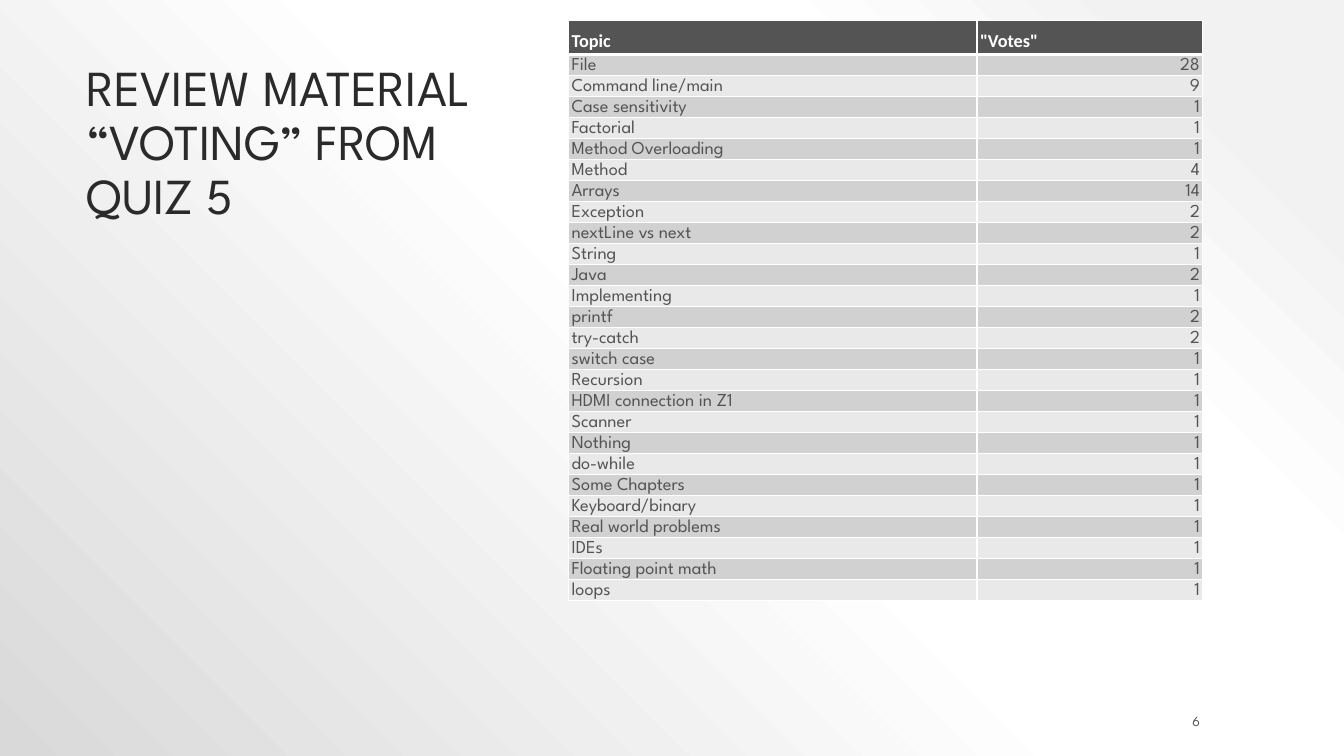
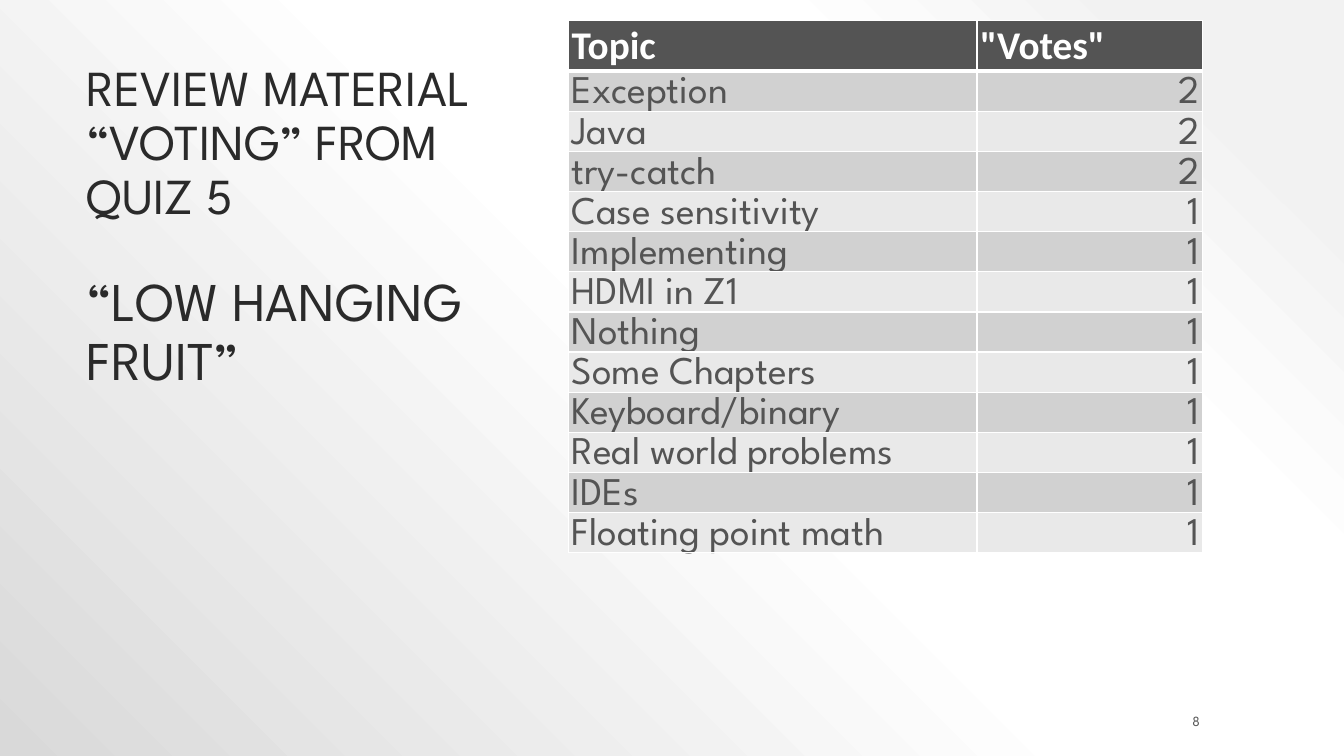
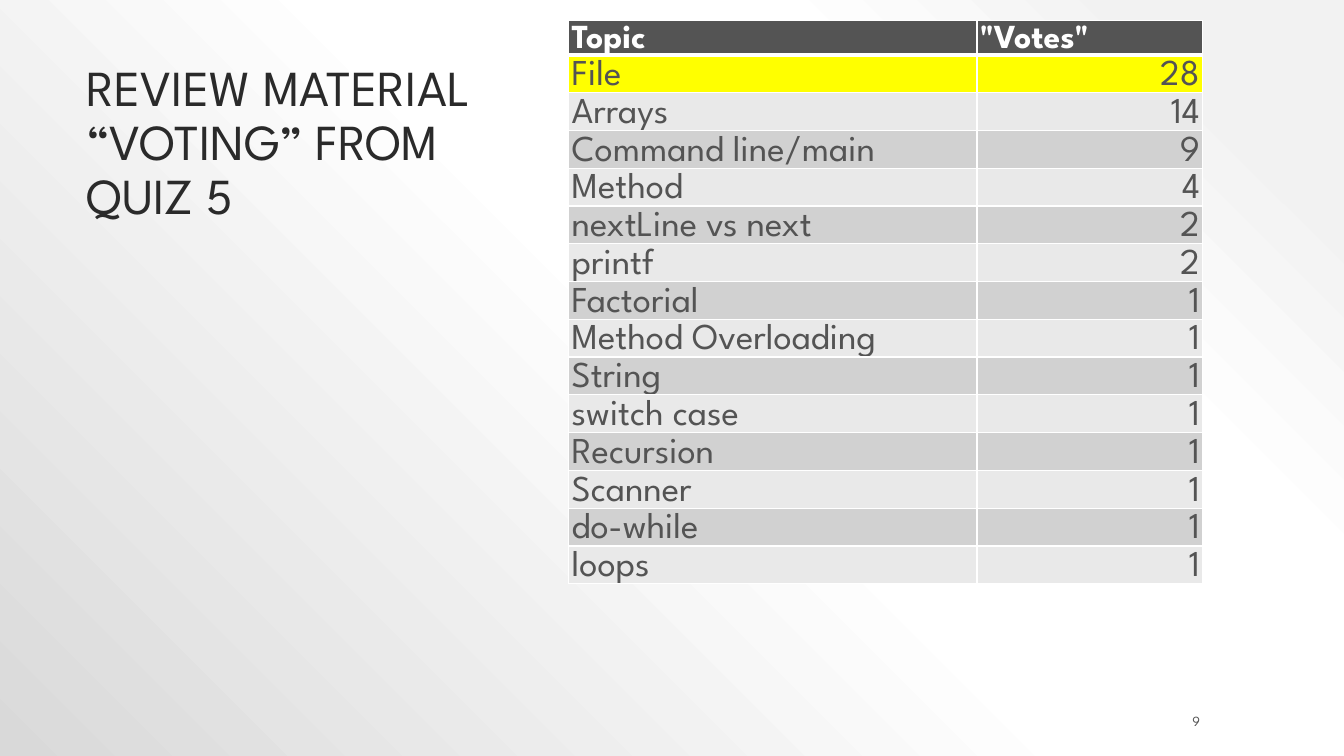
from dataclasses import dataclass

from lxml import etree
from pptx import Presentation
from pptx.dml.color import RGBColor
from pptx.enum import text
from pptx.oxml import parse_xml
from pptx.oxml.ns import nsdecls, qn
from pptx.util import Inches, Pt

# Shared style
FONT = "League Spartan"
DARK, GREY, WHITE, YELLOW = "2A2A2A", "545454", "FFFFFF", "FFFF00"
BANDS = ("D1D1D1", "E9E9E9")
BACKGROUND_STOPS = ((10, "F2F2F2"), (28, WHITE), (48, WHITE), (100, "D9D9D9"))
TITLE = "REVIEW MATERIAL “VOTING” FROM QUIZ 5"
TABLE_LEFT, TABLE_TOP = 5.64, 0.2
COLUMN_WIDTHS = (4.05, 2.24)
TIGHT = 0.76  # line spacing that keeps the table rows compact


@dataclass
class TextStyle:
    size: float
    color: str
    font: str = FONT
    bold: bool = False
    align: text.PP_ALIGN = text.PP_ALIGN.LEFT
    spacing: float = 1.0


@dataclass
class VoteSlide:
    number: int
    header_style: TextStyle
    body_size: float
    header_height: float
    body_height: float
    votes: list[tuple[str, int]]
    subtitle: str = ""
    highlighted: tuple[str, ...] = ()


SLIDES = [
    VoteSlide(6, TextStyle(13, WHITE, "Calibri", True), 13, 0.34, 5.42, [
        ("File", 28), ("Command line/main", 9), ("Case sensitivity", 1),
        ("Factorial", 1), ("Method Overloading", 1), ("Method", 4),
        ("Arrays", 14), ("Exception", 2), ("nextLine vs next", 2),
        ("String", 1), ("Java", 2), ("Implementing", 1), ("printf", 2),
        ("try-catch", 2), ("switch case", 1), ("Recursion", 1),
        ("HDMI connection in Z1", 1), ("Scanner", 1), ("Nothing", 1),
        ("do-while", 1), ("Some Chapters", 1), ("Keyboard/binary", 1),
        ("Real world problems", 1), ("IDEs", 1), ("Floating point math", 1),
        ("loops", 1),
    ]),
    VoteSlide(8, TextStyle(28, WHITE, "Calibri", True), 28, 0.5, 4.78, [
        ("Exception", 2), ("Java", 2), ("try-catch", 2),
        ("Case sensitivity", 1), ("Implementing", 1), ("HDMI in Z1", 1),
        ("Nothing", 1), ("Some Chapters", 1), ("Keyboard/binary", 1),
        ("Real world problems", 1), ("IDEs", 1), ("Floating point math", 1),
    ], subtitle="“LOW HANGING FRUIT”"),
    VoteSlide(9, TextStyle(24, WHITE, FONT, True, spacing=TIGHT), 26, 0.34, 5.25, [
        ("File", 28), ("Arrays", 14), ("Command line/main", 9), ("Method", 4),
        ("nextLine vs next", 2), ("printf", 2), ("Factorial", 1),
        ("Method Overloading", 1), ("String", 1), ("switch case", 1),
        ("Recursion", 1), ("Scanner", 1), ("do-while", 1), ("loops", 1),
    ], highlighted=("File",)),
]


def rgb(value: str) -> RGBColor:
    return RGBColor.from_string(value)


def write(tf, content: str, style: TextStyle) -> None:
    p = tf.paragraphs[0]
    p.text = content
    p.alignment = style.align
    p.line_spacing = style.spacing
    p.font.size = Pt(style.size)
    p.font.name = style.font
    p.font.bold = style.bold
    p.font.color.rgb = rgb(style.color)


def add_text(slide, box: tuple[float, ...], content: str, style: TextStyle,
             anchor: text.MSO_ANCHOR) -> None:
    tf = slide.shapes.add_textbox(*map(Inches, box)).text_frame
    tf.word_wrap = True
    tf.vertical_anchor = anchor
    write(tf, content, style)


def set_background(master) -> None:
    """Radial gradient centred on the top right corner."""
    master.background.fill.gradient()
    old = master.element.find(".//" + qn("p:bgPr")).find(qn("a:gradFill"))
    stops = "".join(
        f'<a:gs pos="{pos * 1000}"><a:srgbClr val="{color}"/></a:gs>'
        for pos, color in BACKGROUND_STOPS)
    new = parse_xml(
        f'<a:gradFill {nsdecls("a")} rotWithShape="1"><a:gsLst>{stops}</a:gsLst>'
        '<a:path path="circle"><a:fillToRect l="100000" b="100000"/></a:path>'
        '</a:gradFill>')
    old.getparent().replace(old, new)


def set_borders(cell, top: float, bottom: float) -> None:
    tc_pr = cell._tc.get_or_add_tcPr()
    for side, width in (("L", 1), ("R", 1), ("T", top), ("B", bottom)):
        line = etree.SubElement(tc_pr, qn(f"a:ln{side}"), w=str(Pt(width)))
        fill = etree.SubElement(line, qn("a:solidFill"))
        etree.SubElement(fill, qn("a:srgbClr"), val=WHITE)


def fill_cell(cell, content: str, style: TextStyle, fill: str,
              top: float = 1, bottom: float = 1) -> None:
    set_borders(cell, top, bottom)
    cell.fill.solid()
    cell.fill.fore_color.rgb = rgb(fill)
    cell.margin_left = cell.margin_right = Inches(0.03)
    cell.margin_top = cell.margin_bottom = Inches(0.02)
    cell.vertical_anchor = text.MSO_ANCHOR.BOTTOM
    write(cell.text_frame, content, style)


def add_votes(slide, spec: VoteSlide) -> None:
    count = len(spec.votes)
    table = slide.shapes.add_table(
        count + 1, len(COLUMN_WIDTHS), Inches(TABLE_LEFT), Inches(TABLE_TOP),
        Inches(sum(COLUMN_WIDTHS)),
        Inches(spec.header_height + spec.body_height)).table
    for column, width in zip(table.columns, COLUMN_WIDTHS):
        column.width = Inches(width)

    # Header row
    table.rows[0].height = Inches(spec.header_height)
    for col, label in enumerate(("Topic", '"Votes"')):
        fill_cell(table.cell(0, col), label, spec.header_style, GREY, bottom=3)

    # Banded body rows
    styles = [TextStyle(spec.body_size, GREY, align=align, spacing=TIGHT)
              for align in (text.PP_ALIGN.LEFT, text.PP_ALIGN.RIGHT)]
    for row, vote in enumerate(spec.votes, start=1):
        table.rows[row].height = Inches(spec.body_height / count)
        fill = YELLOW if vote[0] in spec.highlighted else BANDS[(row - 1) % 2]
        for col, value in enumerate(vote):
            fill_cell(table.cell(row, col), str(value), styles[col], fill,
                      top=3 if row == 1 else 1)


def add_vote_slide(prs, spec: VoteSlide) -> None:
    slide = prs.slides.add_slide(prs.slide_layouts[6])
    add_text(slide, (0.76, 0.84, 4.88, 1.45), TITLE,
             TextStyle(36, DARK, spacing=0.9), text.MSO_ANCHOR.BOTTOM)
    if spec.subtitle:
        add_text(slide, (0.76, 2.49, 4.88, 1.45), spec.subtitle,
                 TextStyle(39, DARK, spacing=0.9), text.MSO_ANCHOR.BOTTOM)
    add_votes(slide, spec)
    add_text(slide, (10.75, 7.05, 1.25, 0.2), str(spec.number),
             TextStyle(10, GREY, align=text.PP_ALIGN.RIGHT),
             text.MSO_ANCHOR.MIDDLE)


def main() -> None:
    prs = Presentation()
    prs.slide_width, prs.slide_height = Inches(13.33), Inches(7.5)
    set_background(prs.slide_master)
    for spec in SLIDES:
        add_vote_slide(prs, spec)
    prs.save("out.pptx")


if __name__ == "__main__":
    main()
